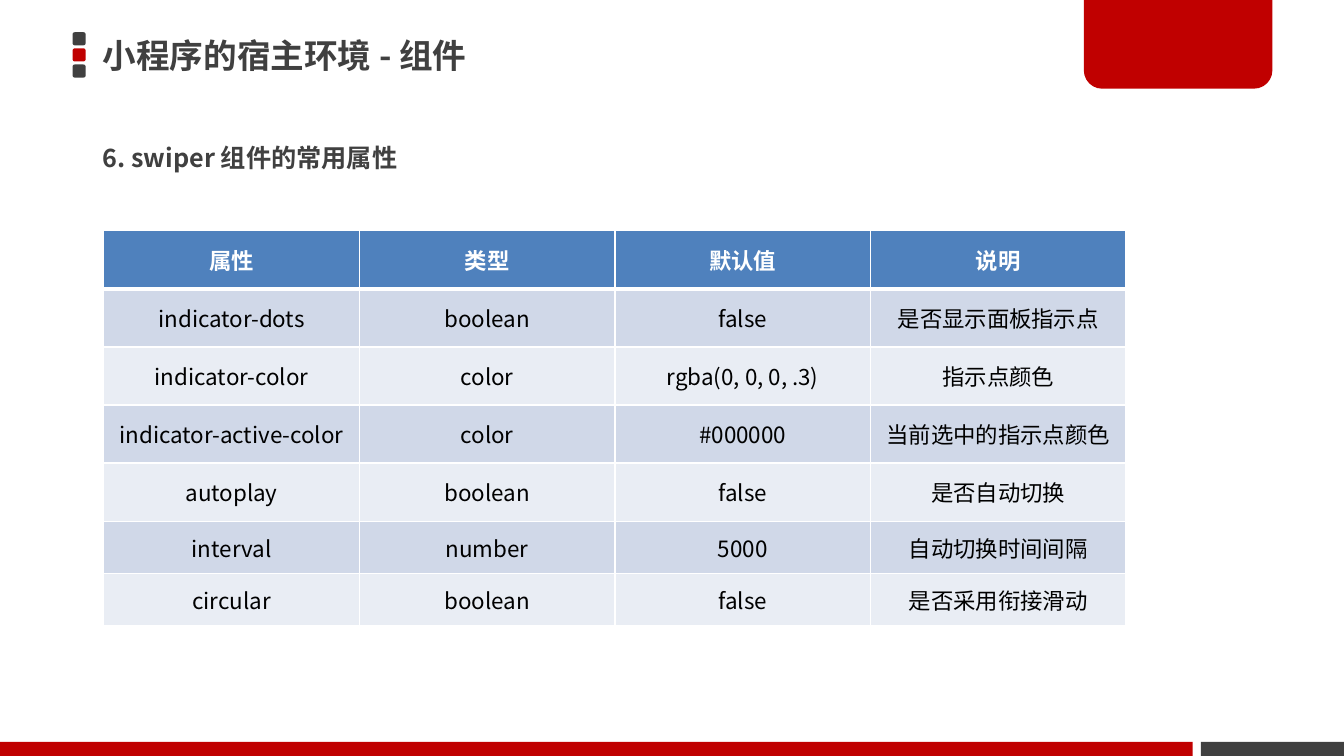
from lxml import etree
from pptx import Presentation
from pptx import util as u
from pptx.dml.color import RGBColor
from pptx.enum import shapes, text
from pptx.oxml.ns import qn

FONT = "Noto Sans CJK JP"
DARK, RED, WHITE, BLACK = "404040", "C00000", "FFFFFF", "000000"
HEADER_FILL, BAND_FILLS = "4F81BD", ("D0D8E8", "E9EDF4")

TABLE_ROWS = [
    ("属性", "类型", "默认值", "说明"),
    ("indicator-dots", "boolean", "false", "是否显示面板指示点"),
    ("indicator-color", "color", "rgba(0, 0, 0, .3)", "指示点颜色"),
    ("indicator-active-color", "color", "#000000", "当前选中的指示点颜色"),
    ("autoplay", "boolean", "false", "是否自动切换"),
    ("interval", "number", "5000", "自动切换时间间隔"),
    ("circular", "boolean", "false", "是否采用衔接滑动"),
]


def color(hex_code):
    return RGBColor.from_string(hex_code)


def write_text(frame, content, size=16, fill=BLACK, bold=False, align=text.PP_ALIGN.LEFT):
    paragraph = frame.paragraphs[0]
    paragraph.alignment = align
    run = paragraph.add_run()
    run.text = content
    font = run.font
    font.size, font.bold, font.name = u.Pt(size), bold, FONT
    font.color.rgb = color(fill)
    # Chinese characters take the East Asian font
    etree.SubElement(run._r.get_or_add_rPr(), qn("a:ea"), typeface=FONT)


def add_text_box(slide, left, top, width, height, content, **text_format):
    box = slide.shapes.add_textbox(*map(u.Inches, (left, top, width, height)))
    frame = box.text_frame
    frame.word_wrap = True
    frame.vertical_anchor = text.MSO_ANCHOR.MIDDLE
    write_text(frame, content, **text_format)


def add_block(slide, kind, left, top, width, height, fill, adjustments=()):
    block = slide.shapes.add_shape(kind, *map(u.Inches, (left, top, width, height)))
    for index, value in enumerate(adjustments):
        block.adjustments[index] = value
    block.shadow.inherit = False
    block.fill.solid()
    block.fill.fore_color.rgb = color(fill)
    block.line.fill.background()


def set_borders(cell, **widths):
    properties = cell._tc.get_or_add_tcPr()
    for side in "LRTB":
        line = etree.SubElement(properties, qn(f"a:ln{side}"), w=str(u.Pt(widths.get(side, 1))))
        solid = etree.SubElement(line, qn("a:solidFill"))
        etree.SubElement(solid, qn("a:srgbClr"), val=WHITE)


def add_property_table(slide, left, top, width, height, rows):
    frame = slide.shapes.add_table(len(rows), len(rows[0]), *map(u.Inches, (left, top, width, height)))
    table = frame.table
    # The last two rows are a little lower than the others
    low = 0.52
    tall = (height - 2 * low) / (len(rows) - 2)
    for row_index, values in enumerate(rows):
        is_header = row_index == 0
        table.rows[row_index].height = u.Inches(low if row_index >= len(rows) - 2 else tall)
        for column_index, value in enumerate(values):
            cell = table.cell(row_index, column_index)
            cell.vertical_anchor = text.MSO_ANCHOR.MIDDLE
            # A thick rule separates the header from the body
            set_borders(cell, B=3 if is_header else 1, T=3 if row_index == 1 else 1)
            cell.fill.solid()
            cell.fill.fore_color.rgb = color(HEADER_FILL if is_header else BAND_FILLS[(row_index - 1) % 2])
            write_text(cell.text_frame, value, fill=WHITE if is_header else BLACK,
                       bold=is_header, align=text.PP_ALIGN.CENTER)


def main():
    presentation = Presentation()
    presentation.slide_width, presentation.slide_height = u.Inches(13.33), u.Inches(7.5)
    slide = presentation.slides.add_slide(presentation.slide_layouts[6])
    kinds = shapes.MSO_SHAPE

    # Three squares beside the title
    for index, fill in enumerate((DARK, RED, DARK)):
        add_block(slide, kinds.ROUNDED_RECTANGLE, 0.72, 0.32 + 0.16 * index, 0.13, 0.13, fill, (0.167,))

    # Footer bars and corner tab
    add_block(slide, kinds.RECTANGLE, 11.91, 7.36, 1.42, 0.14, DARK)
    add_block(slide, kinds.ROUND_2_SAME_RECTANGLE, 10.75, -0.03, 1.87, 0.91, RED, (0, 0.2))
    add_block(slide, kinds.RECTANGLE, 0, 7.36, 11.83, 0.14, RED)

    # Headings
    add_text_box(slide, 0.92, 0.26, 9.59, 0.57, "小程序的宿主环境 - 组件", size=24, fill=DARK, bold=True)
    add_text_box(slide, 0.92, 1.28, 10.77, 0.57, "6. swiper 组件的常用属性", size=18, fill=DARK, bold=True)

    # Swiper properties
    add_property_table(slide, 1.03, 2.29, 10.14, 3.92, TABLE_ROWS)

    presentation.save("out.pptx")


if __name__ == "__main__":
    main()
